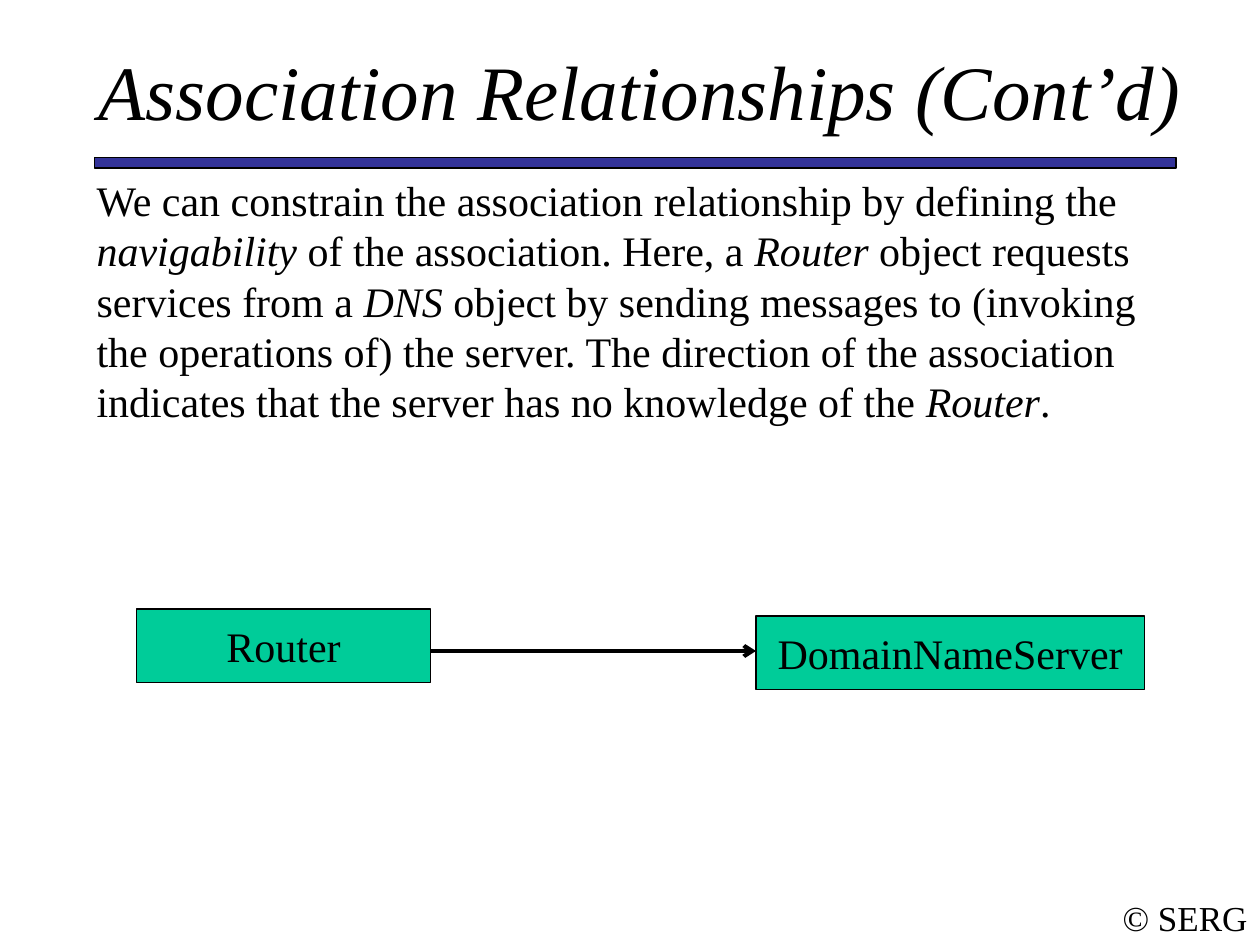
from lxml import etree
from pptx import Presentation
from pptx.dml.color import RGBColor
from pptx.enum.shapes import MSO_CONNECTOR, MSO_SHAPE
from pptx.enum.text import MSO_ANCHOR, MSO_AUTO_SIZE, PP_ALIGN
from pptx.oxml.ns import qn
from pptx.util import Pt

RECT, STRAIGHT = MSO_SHAPE.RECTANGLE, MSO_CONNECTOR.STRAIGHT
TOP, MIDDLE = MSO_ANCHOR.TOP, MSO_ANCHOR.MIDDLE
LEFT, CENTER = PP_ALIGN.LEFT, PP_ALIGN.CENTER
NO_FIT = MSO_AUTO_SIZE.NONE

COLORS = {"ink": "000000", "rule": "333399", "node": "00CC99"}
FONT = "Times New Roman"
BODY = [
    ("We can constrain the association relationship by defining the ", False),
    ("navigability", True),
    (" of the association. Here, a ", False),
    ("Router", True),
    (" object requests services from a ", False),
    ("DNS", True),
    (" object by sending messages to (invoking the operations of) the server. "
     "The direction of the association indicates that the server has no "
     "knowledge of the ", False),
    ("Router", True),
    (".", False),
]


def color(name):
    return RGBColor.from_string(COLORS[name])


def place(sp, box):
    sp.left, sp.top, sp.width, sp.height = (Pt(v) for v in box)


def write(sp, runs, size, align=CENTER, anchor=MIDDLE, wrap=False):
    """Fill a shape with one paragraph of (text, italic) runs."""
    tf = sp.text_frame
    frame_format = {"auto_size": NO_FIT, "word_wrap": wrap, "vertical_anchor": anchor}
    for name, value in frame_format.items():
        setattr(tf, name, value)
    p = tf.paragraphs[0]
    p.alignment, p.space_before = align, Pt(0)
    for text, italic in runs:
        r = p.add_run()
        r.text = text
        font_format = {"name": FONT, "size": Pt(size), "bold": False, "italic": italic}
        for name, value in font_format.items():
            setattr(r.font, name, value)
        r.font.color.rgb = color("ink")
    return p


def add_rect(slide, box, fill):
    sp = slide.shapes.add_shape(RECT, *(Pt(v) for v in box))
    sp.shadow.inherit = False
    sp.fill.solid()
    sp.fill.fore_color.rgb = color(fill)
    sp.line.color.rgb = color("ink")
    sp.line.width = Pt(0.75)
    return sp


def add_heading(slide, box):
    left, top, width, height = box
    place(slide.shapes.title, box)
    write(slide.shapes.title, [("Association Relationships (Cont’d)", True)], 44, wrap=True)
    add_rect(slide, (left + 6, top + 60, width - 18, 6), "rule")


def add_body(slide, box):
    sp = slide.placeholders[1]
    place(sp, box)
    p = write(sp, BODY, 24, LEFT, TOP, wrap=True)
    p.line_spacing = Pt(28.8)
    pPr = p._p.get_or_add_pPr()
    pPr.set("marL", "0")
    pPr.set("indent", "0")
    etree.SubElement(pPr, qn("a:buNone"))


def add_arrow(slide, x1, x2, y):
    line = slide.shapes.add_connector(STRAIGHT, Pt(x1), Pt(y), Pt(x2), Pt(y))
    line.line.color.rgb = color("ink")
    line.line.width = Pt(2.25)
    etree.SubElement(line.line._get_or_add_ln(), qn("a:tailEnd"), type="arrow")
    etree.SubElement(line._element.spPr, qn("a:effectLst"))


def add_diagram(slide, box):
    """Draw the client at the left edge and the server at the right edge."""
    left, top, width, height = box
    client_w, server_w, node_h = 168, 222, 42
    server_x = left + width - server_w
    add_arrow(slide, left + client_w, server_x, top + 24)
    nodes = [
        ("Router", (left, top, client_w, node_h)),
        ("DomainNameServer", (server_x, top + height - node_h, server_w, node_h)),
    ]
    for name, node_box in nodes:
        write(add_rect(slide, node_box, "node"), [(name, False)], 24)


def add_credit(slide, box):
    sp = slide.shapes.add_textbox(*(Pt(v) for v in box))
    write(sp, [("© SERG", False)], 20)


def main():
    prs = Presentation()
    prs.slide_width, prs.slide_height = Pt(720), Pt(540)
    slide = prs.slides.add_slide(prs.slide_layouts[1])
    add_credit(slide, (634.5, 508.5, 85.5, 31.5))
    add_heading(slide, (48, 30, 636, 42))
    add_body(slide, (48, 96, 638.5, 151))
    add_diagram(slide, (78, 348, 576, 46))
    prs.save("out.pptx")


if __name__ == "__main__":
    main()
